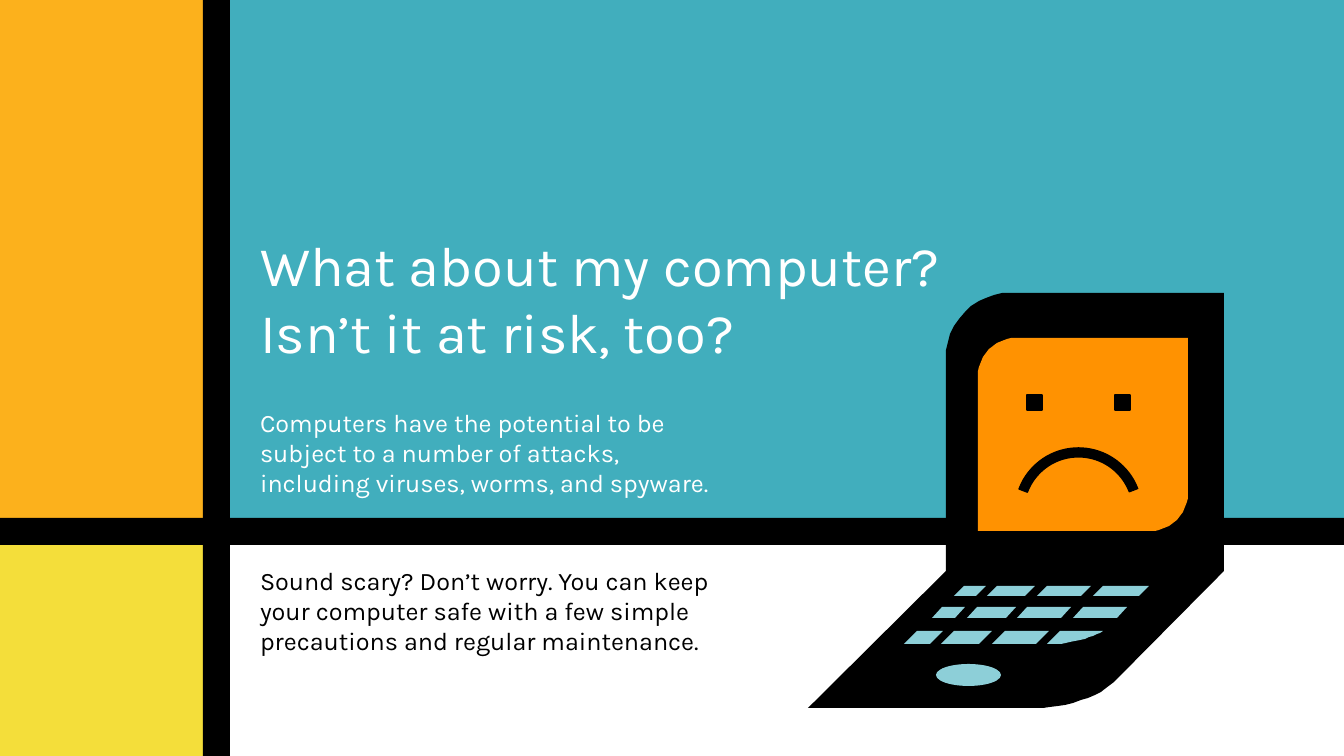
from math import sqrt

from pptx import Presentation
from pptx.dml.color import RGBColor
from pptx.enum.shapes import MSO_SHAPE
from pptx.enum.text import MSO_ANCHOR, MSO_AUTO_SIZE
from pptx.util import Pt

BLACK = RGBColor(0x00, 0x00, 0x00)
WHITE = RGBColor(0xFF, 0xFF, 0xFF)
TEAL = RGBColor(0x41, 0xAE, 0xBD)
AMBER = RGBColor(0xFC, 0xB1, 0x1C)
YELLOW = RGBColor(0xF4, 0xDE, 0x3A)
ORANGE = RGBColor(0xFF, 0x92, 0x01)
PALE_BLUE = RGBColor(0x8D, 0xCF, 0xD8)

WIDTH, HEIGHT = 1344, 756
EMU_PER_PX = 914400 / 100.8

BAR = 27
BAR_LEFT, BAR_TOP = 203, 518
PANEL_LEFT, PANEL_TOP = BAR_LEFT + BAR, BAR_TOP + BAR

KEY_ROWS = [
    (586, 596, 10, [(954, 22), (987, 38), (1037, 44), (1093, 46)]),
    (607, 618, 10, [(932, 23), (967, 39), (1017, 44), (1073, 44)]),
    (631, 644, 13, [(904, 26), (941, 38), (992, 44)]),
]


def emu(px):
    """Turn px into EMU."""
    return round(px * EMU_PER_PX)


def rounded(start, corner, end, steps=12):
    """Return the points of a rounded corner between start and end."""
    points = []
    for step in range(steps + 1):
        t = step / steps
        weights = ((1 - t) ** 2, sqrt(2) * t * (1 - t), t ** 2)
        total = sum(weights)
        points.append(tuple(
            sum(weight * value for weight, value in zip(weights, values)) / total
            for values in zip(start, corner, end)))
    return points


class SlidePainter:
    """Holds the style and the current slide."""

    font_name = "Karla"

    def __init__(self, slide):
        """Start drawing on the slide itself."""
        self.slide = slide
        self.shapes = slide.shapes

    def start_group(self):
        """Send the next shapes to a new group."""
        self.shapes = self.slide.shapes.add_group_shape().shapes

    def end_group(self):
        """Send the next shapes to the slide again."""
        self.shapes = self.slide.shapes

    def paint(self, shape, color, outlined=False):
        """Give a shape a flat fill, with or without an outline."""
        shape.shadow.inherit = False
        shape.fill.solid()
        shape.fill.fore_color.rgb = color
        if outlined:
            shape.line.color.rgb = color
            shape.line.width = Pt(1)
        else:
            shape.line.fill.background()
        return shape

    def preset(self, kind, left, top, width, height, color, outlined=False):
        """Add a preset shape."""
        shape = self.shapes.add_shape(kind, emu(left), emu(top), emu(width), emu(height))
        return self.paint(shape, color, outlined)

    def outline(self, points, color):
        """Add a closed freeform through the points."""
        builder = self.shapes.build_freeform(*points[0], scale=EMU_PER_PX)
        builder.add_line_segments(points[1:], close=True)
        return self.paint(builder.convert_to_shape(), color)

    def text(self, wording, left, top, width, height, size, color,
             padding=20, anchor=MSO_ANCHOR.TOP):
        """Add a wrapped text box."""
        box = self.shapes.add_textbox(emu(left), emu(top), emu(width), emu(height))
        frame = box.text_frame
        frame.word_wrap = True
        frame.auto_size = MSO_AUTO_SIZE.SHAPE_TO_FIT_TEXT
        frame.vertical_anchor = anchor
        frame.margin_left = frame.margin_right = emu(30)
        frame.margin_top = frame.margin_bottom = emu(padding)
        paragraph = frame.paragraphs[0]
        paragraph.text = wording
        paragraph.font.name = self.font_name
        paragraph.font.size = Pt(size)
        paragraph.font.color.rgb = color


def draw_panels(painter):
    """Draw the colour panels and the black bars between them."""
    for left, top, width, height, color in [
        (PANEL_LEFT, 0, WIDTH - PANEL_LEFT, BAR_TOP, TEAL),
        (0, 0, BAR_LEFT, BAR_TOP, AMBER),
        (0, PANEL_TOP, BAR_LEFT, HEIGHT - PANEL_TOP, YELLOW),
        (0, BAR_TOP, WIDTH, BAR, BLACK),
        (BAR_LEFT, 0, BAR, HEIGHT, BLACK),
    ]:
        painter.preset(MSO_SHAPE.RECTANGLE, left, top, width, height, color)


def draw_laptop(painter):
    """Draw the laptop with its keys and sad face."""
    painter.start_group()
    painter.outline(
        [(1224, 293), *rounded((1010, 293), (946, 293), (946, 358)),
         (946, 571), (808, 708),
         *rounded((1037, 708), (1088, 708), (1114, 682)), (1224, 571)], BLACK)
    for top, bottom, slant, keys in KEY_ROWS:
        for left, width in keys:
            right = left + width
            painter.outline([(left, bottom), (left + slant, top),
                             (right + slant, top), (right, bottom)], PALE_BLUE)
    painter.outline([(1060, 631), (1047, 644),
                     *rounded((1054, 644), (1082, 644), (1103, 631))], PALE_BLUE)
    painter.outline(
        [(1188, 338), *rounded((1016, 338), (978, 338), (978, 376)), (978, 531),
         *rounded((1150, 531), (1188, 531), (1188, 493))], ORANGE)
    painter.preset(MSO_SHAPE.OVAL, 936, 664, 65, 22, PALE_BLUE)
    painter.start_group()
    for left in (1027, 1115):
        painter.preset(MSO_SHAPE.RECTANGLE, left, 395, 15, 15, BLACK, outlined=True)
    painter.end_group()
    mouth = painter.preset(MSO_SHAPE.BLOCK_ARC, 1015, 448, 127, 127, BLACK, outlined=True)
    for index, value in enumerate((120.41, 203.3, 0.07)):
        mouth.adjustments[index] = value


def main():
    """Build the slide and save it."""
    presentation = Presentation()
    presentation.slide_width = emu(WIDTH)
    presentation.slide_height = emu(HEIGHT)
    painter = SlidePainter(presentation.slides.add_slide(presentation.slide_layouts[6]))
    draw_panels(painter)
    painter.text("Computers have the potential to be subject to a number of attacks, "
                 "including viruses, worms, and spyware.",
                 PANEL_LEFT, 386, 535, 132, 18, WHITE, anchor=MSO_ANCHOR.BOTTOM)
    painter.text("Sound scary? Don’t worry. You can keep your computer safe with "
                 "a few simple precautions and regular maintenance.",
                 PANEL_LEFT, PANEL_TOP, 535, 132, 18, BLACK)
    draw_laptop(painter)
    painter.text("What about my computer?\vIsn’t it at risk, too?",
                 PANEL_LEFT, 215, 1002, 166, 40, WHITE, padding=15)
    presentation.save("out.pptx")


if __name__ == "__main__":
    main()
